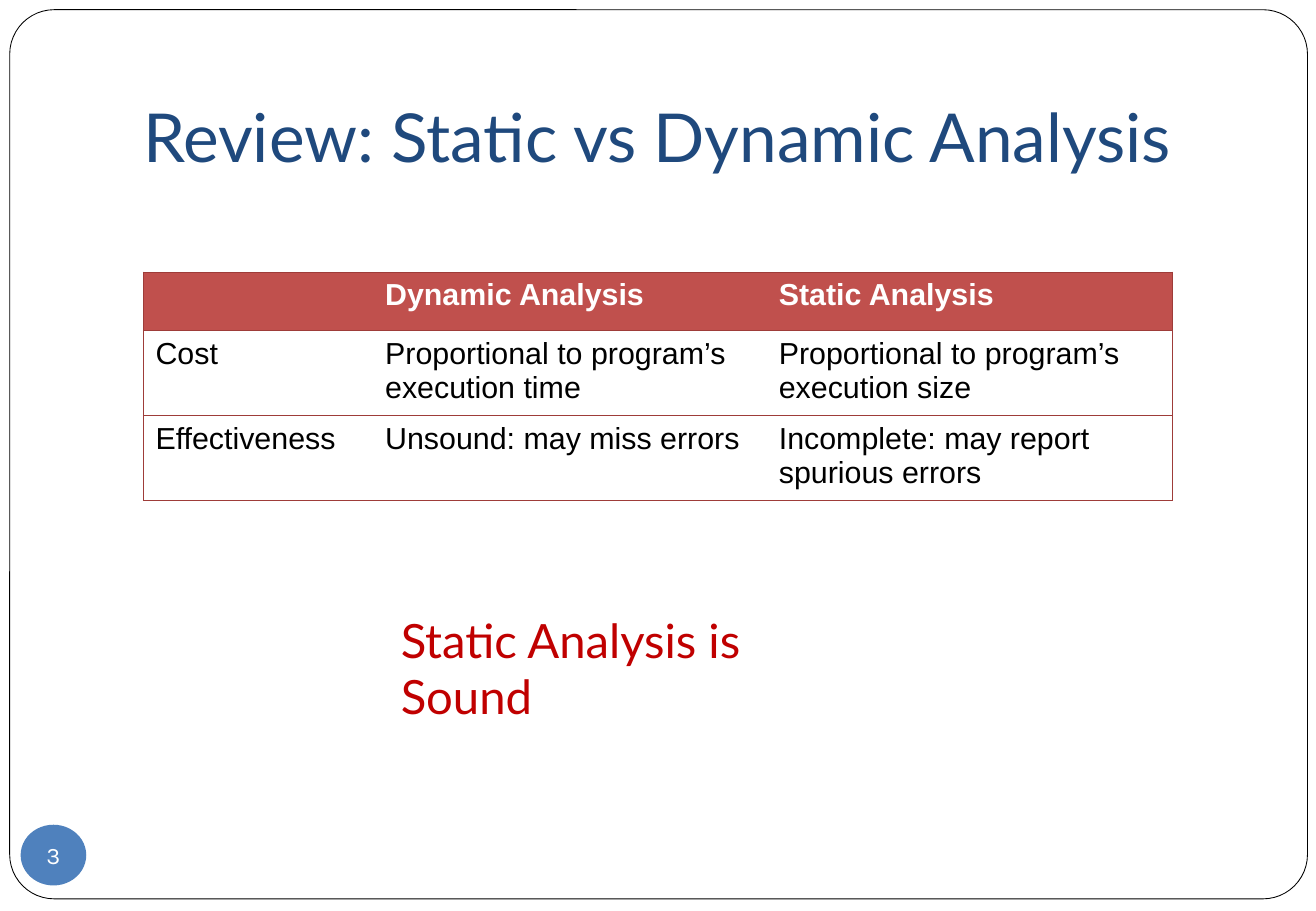
from lxml.etree import SubElement as Sub
from pptx import Presentation
from pptx.dml.color import RGBColor
from pptx.enum.shapes import MSO_SHAPE as Kind
from pptx.enum.text import MSO_ANCHOR as Anchor, PP_ALIGN as Align
from pptx.oxml.ns import qn
from pptx.util import Inches, Pt

WHITE = RGBColor(0xFF, 0xFF, 0xFF)
BLACK = RGBColor(0, 0, 0)
NAVY = RGBColor(0x1F, 0x49, 0x7D)
BLUE = RGBColor(0x4F, 0x81, 0xBD)
BRICK = RGBColor(0xC0, 0x50, 0x4D)
RUST = RGBColor(0x9E, 0x3C, 0x39)
RED = RGBColor(0xC0, 0, 0)

COLS = (1.89, 3.24, 3.34)
ROWS = (
    (0.48, ("", "Dynamic Analysis", "Static Analysis")),
    (0.66, ("Cost", "Proportional to program’s execution time",
            "Proportional to program’s execution size")),
    (0.66, ("Effectiveness", "Unsound: may miss errors",
            "Incomplete: may report spurious errors")),
)


class Deck:
    head = "Lato"
    body = "Arial"
    num = "Karla"

    def __init__(self, wide, high):
        self.show = Presentation()
        self.show.slide_width = Inches(wide)
        self.show.slide_height = Inches(high)
        self.slide = self.show.slides.add_slide(self.show.slide_layouts[6])

    def label(self, frame, text, face, size, color, bold=False):
        para = frame.paragraphs[0]
        para.text = text
        font = para.font
        font.name, font.size, font.bold = face, Pt(size), bold
        font.color.rgb = color
        return para

    def shape(self, kind, box, fill, line=None):
        item = self.slide.shapes.add_shape(kind, *map(Inches, box))
        item.shadow.inherit = False
        item.fill.solid()
        item.fill.fore_color.rgb = fill
        if line is None:
            item.line.fill.background()
        else:
            item.line.color.rgb = line
            item.line.width = Pt(0.5)
        return item

    def frame(self, box):
        item = self.shape(Kind.ROUNDED_RECTANGLE, box, WHITE, BLACK)
        item.adjustments[0] = 0.05

    def badge(self, box, text):
        frame = self.shape(Kind.OVAL, box, BLUE).text_frame
        frame.margin_left = frame.margin_right = 0
        frame.margin_top = frame.margin_bottom = 0
        frame.vertical_anchor = Anchor.MIDDLE
        frame.word_wrap = False
        para = self.label(frame, text, self.num, 14, WHITE)
        para.alignment = Align.CENTER

    def text(self, box, text, size, color, anchor=Anchor.TOP, foot=0.05):
        frame = self.slide.shapes.add_textbox(*map(Inches, box)).text_frame
        frame.word_wrap = True
        frame.vertical_anchor = anchor
        frame.margin_bottom = Inches(foot)
        self.label(frame, text, self.head, size, color)

    def edge(self, cell, side, shown):
        line = Sub(cell._tc.get_or_add_tcPr(), qn("a:ln" + side), w=str(Pt(0.75)))
        if shown:
            fill = Sub(line, qn("a:solidFill"))
            Sub(fill, qn("a:srgbClr"), val=str(RUST))
        else:
            Sub(line, qn("a:noFill"))

    def table(self, left, top, cols, rows):
        high = sum(size for size, _ in rows)
        table = self.slide.shapes.add_table(
            len(rows), len(cols), Inches(left), Inches(top),
            Inches(sum(cols)), Inches(high)).table
        table.horz_banding = False
        for col, size in zip(table.columns, cols):
            col.width = Inches(size)
        for r, (size, texts) in enumerate(rows):
            table.rows[r].height = Inches(size)
            for c, text in enumerate(texts):
                cell = table.cell(r, c)
                self.edge(cell, "L", c == 0)
                self.edge(cell, "R", c == len(cols) - 1)
                self.edge(cell, "T", True)
                self.edge(cell, "B", True)
                cell.fill.solid()
                cell.fill.fore_color.rgb = WHITE if r else BRICK
                self.label(cell.text_frame, text, self.body, 18,
                           BLACK if r else WHITE, r == 0)

    def save(self):
        self.show.save("out.pptx")


def main():
    deck = Deck(10.83, 7.5)
    deck.frame((0.08, 0.08, 10.68, 7.32))
    deck.text((1.08, 0.3, 9.21, 1.25), "Review: Static vs Dynamic Analysis",
              40, NAVY, Anchor.BOTTOM, 0.1)
    deck.table(1.18, 2.24, COLS, ROWS)
    deck.text((3.2, 4.98, 4.06, 0.57), "Static Analysis is Sound", 28, RED)
    deck.badge((0.17, 6.79, 0.54, 0.5), "3")
    deck.save()


if __name__ == "__main__":
    main()
